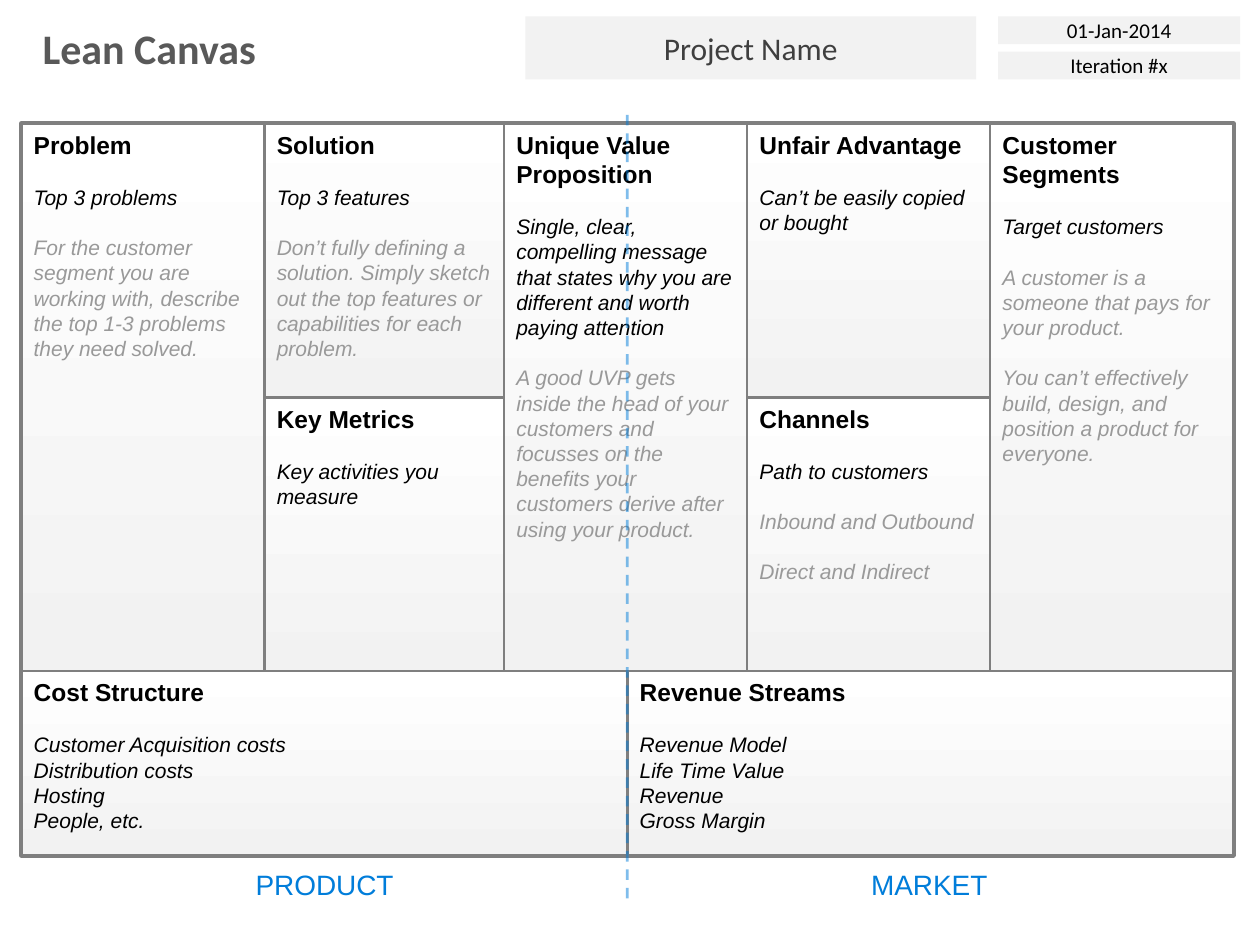
"""Build a Lean Canvas slide with nine gradient cells and a product/market divider."""
from lxml.etree import SubElement
from pptx import Presentation
from pptx.dml.color import RGBColor
from pptx.enum.dml import MSO_LINE
from pptx.enum.shapes import MSO_CONNECTOR, MSO_SHAPE
from pptx.enum.text import MSO_ANCHOR as Anchor, PP_ALIGN as Align
from pptx.oxml.ns import qn
from pptx.util import Cm, Pt

COLORS = {
    "title": "595959", "project": "3F3F3F", "black": "000000", "hint": "999999",
    "border": "7F7F7F", "panel": "F2F2F2", "white": "FFFFFF", "accent": "007DDA",
}

LEFT, TOP, WIDTH = 0.43, 2.49, 24.43
RIGHT = LEFT + WIDTH
COLUMN, TALL, BOTTOM = 4.9, 11.04, 3.71
HALF = TALL / 2
MIDDLE = LEFT + WIDTH / 2
GAP = 14.4

HEADER_BOXES = [
    ("Project Name", 10.59, 0.33, 9.09, 1.27, 18, "project"),
    ("01-Jan-2014", 20.12, 0.33, 4.88, 0.56, 12, "black"),
    ("Iteration #x", 20.12, 1.04, 4.88, 0.56, 12, "black"),
]

FOOTER_CELLS = [
    ("Cost Structure",
     ["Customer Acquisition costs", "Distribution costs", "Hosting", "People, etc."]),
    ("Revenue Streams",
     ["Revenue Model", "Life Time Value", "Revenue", "Gross Margin"]),
]

COLUMNS = [
    [("Problem", ["Top 3 problems"],
      ["For the customer segment you are working with, describe the top 1-3 "
       "problems they need solved."])],
    [("Solution", ["Top 3 features"],
      ["Don’t fully defining a solution. Simply sketch out the top features or "
       "capabilities for each problem."]),
     ("Key Metrics", ["Key activities you measure"], [])],
    [("Unique Value Proposition",
      ["Single, clear, compelling message that states why you are different and "
       "worth paying attention"],
      ["A good UVP gets inside the head of your customers and focusses on the "
       "benefits your customers derive after using your product."])],
    [("Unfair Advantage", ["Can’t be easily copied or bought"], []),
     ("Channels", ["Path to customers"],
      ["Inbound and Outbound", "Direct and Indirect"])],
    [("Customer Segments", ["Target customers"],
      ["A customer is a someone that pays for your product.",
       "You can’t effectively build, design, and position a product for everyone."])],
]

LABELS = [("PRODUCT", 4.88, 3.33), ("MARKET", 17.3, 2.87)]


def rgb(name):
    return RGBColor.from_string(COLORS[name])


def write(paragraph, text, size, color, font="Arial", bold=False, italic=False, align=Align.LEFT):
    paragraph.text = text
    paragraph.alignment = align
    paragraph.font.name = font
    paragraph.font.size = Pt(size)
    paragraph.font.bold = bold
    paragraph.font.italic = italic
    paragraph.font.color.rgb = rgb(color)


def add_text(slide, text, left, top, width, height, *style, **options):
    box = slide.shapes.add_textbox(Cm(left), Cm(top), Cm(width), Cm(height))
    box.text_frame.word_wrap = False
    write(box.text_frame.paragraphs[0], text, *style, **options)


def add_header_box(slide, text, left, top, width, height, size, color):
    shape = slide.shapes.add_shape(
        MSO_SHAPE.RECTANGLE, Cm(left), Cm(top), Cm(width), Cm(height))
    shape.shadow.inherit = False
    shape.fill.solid()
    shape.fill.fore_color.rgb = rgb("panel")
    shape.line.fill.background()
    shape.text_frame.word_wrap = True
    shape.text_frame.vertical_anchor = Anchor.MIDDLE
    write(shape.text_frame.paragraphs[0], text, size, color, "Calibri", align=Align.CENTER)


def add_frame(slide, left, top, width, height, line_width):
    shape = slide.shapes.add_shape(
        MSO_SHAPE.ROUNDED_RECTANGLE, Cm(left), Cm(top), Cm(width), Cm(height))
    shape.adjustments[0] = 0
    shape.shadow.inherit = False
    shape.fill.background()
    shape.line.color.rgb = rgb("border")
    shape.line.width = Pt(line_width)
    return shape


def add_cell(slide, left, top, width, height, heading, points, hints=()):
    shape = add_frame(slide, left, top, width, height, 1.5)
    shape.fill.gradient()
    shape.fill.gradient_angle = 90
    for stop, color in zip(shape.fill.gradient_stops, ("panel", "white")):
        stop.color.rgb = rgb(color)
    frame = shape.text_frame
    frame.word_wrap = True
    frame.vertical_anchor = Anchor.TOP
    write(frame.paragraphs[0], heading, 14, "black", bold=True)
    for index, point in enumerate(points):
        paragraph = frame.add_paragraph()
        write(paragraph, point, 12, "black", italic=True)
        paragraph.space_before = Pt(0 if index else GAP)
    for hint in hints:
        paragraph = frame.add_paragraph()
        write(paragraph, hint, 12, "hint", italic=True)
        paragraph.space_before = Pt(GAP)


def add_divider(slide):
    line = slide.shapes.add_connector(
        MSO_CONNECTOR.STRAIGHT, Cm(MIDDLE), Cm(18.11), Cm(MIDDLE), Cm(2.18))
    line.line.color.rgb = rgb("accent")
    line.line.width = Pt(1.5)
    line.line.dash_style = MSO_LINE.DASH
    properties = line._element.spPr
    color = properties.find(".//" + qn("a:srgbClr"))
    SubElement(color, qn("a:alpha"), val="50000")
    SubElement(properties, qn("a:effectLst"))


def main():
    presentation = Presentation()
    presentation.slide_width, presentation.slide_height = Cm(25.4), Cm(19.05)
    slide = presentation.slides.add_slide(presentation.slide_layouts[6])

    add_text(slide, "Lean Canvas", 0.61, 0.33, 4.88, 1.27, 24, "title", "Calibri", bold=True)
    add_frame(slide, LEFT, TOP, WIDTH, TALL + BOTTOM, 3)
    for header in HEADER_BOXES:
        add_header_box(slide, *header)
    for index, cell in enumerate(FOOTER_CELLS):
        add_cell(slide, LEFT + index * WIDTH / 2, TOP + TALL, WIDTH / 2, BOTTOM, *cell)
    for index, cells in enumerate(COLUMNS):
        left = LEFT + index * COLUMN if index < 2 else RIGHT - (len(COLUMNS) - index) * COLUMN
        height = TALL / len(cells)
        for row, cell in enumerate(cells):
            add_cell(slide, left, TOP + row * height, COLUMN, height, *cell)
    for text, left, width in LABELS:
        add_text(slide, text, left, 17.37, width, 0.94, 16, "accent", align=Align.CENTER)
    add_divider(slide)
    presentation.save("out.pptx")


if __name__ == "__main__":
    main()
